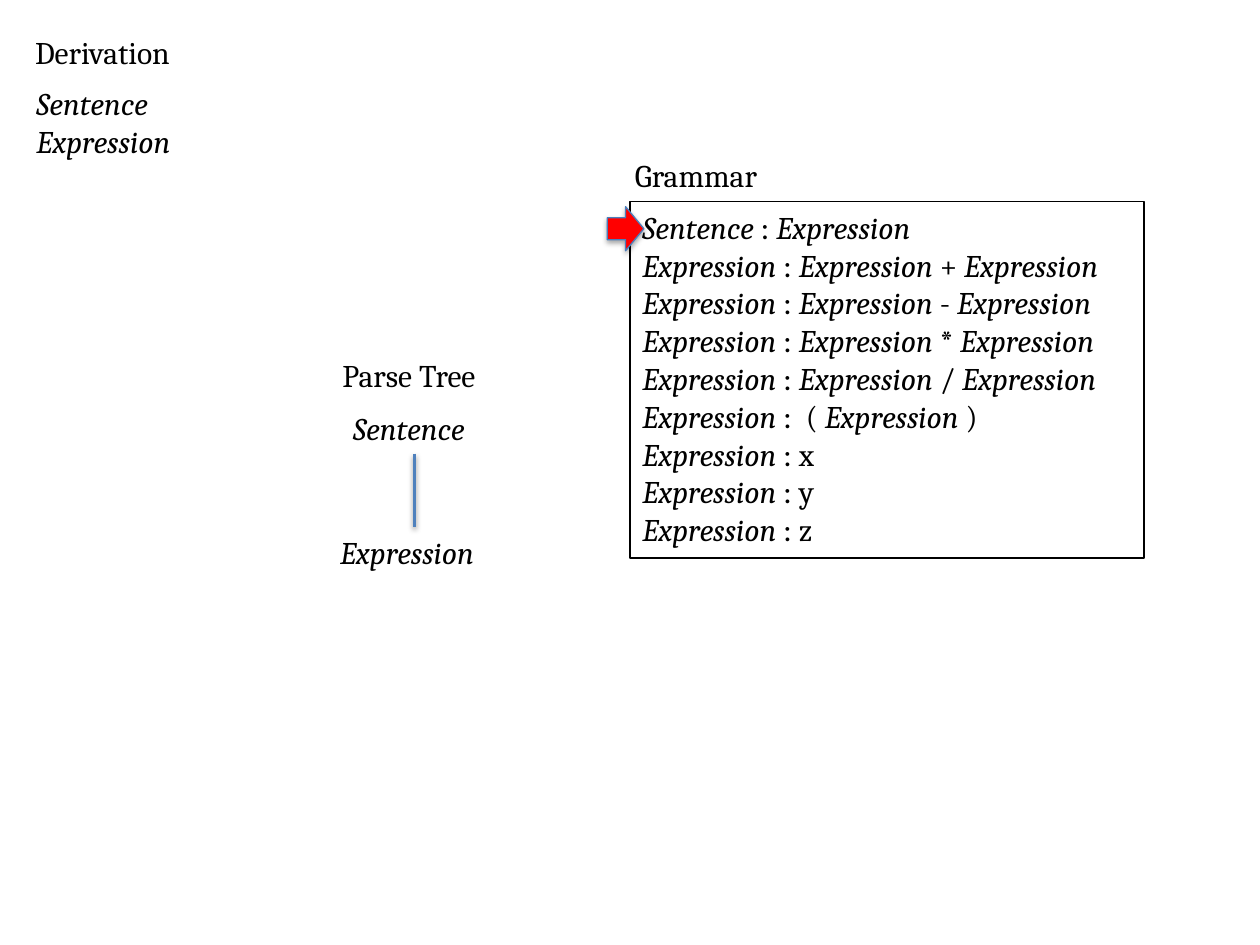
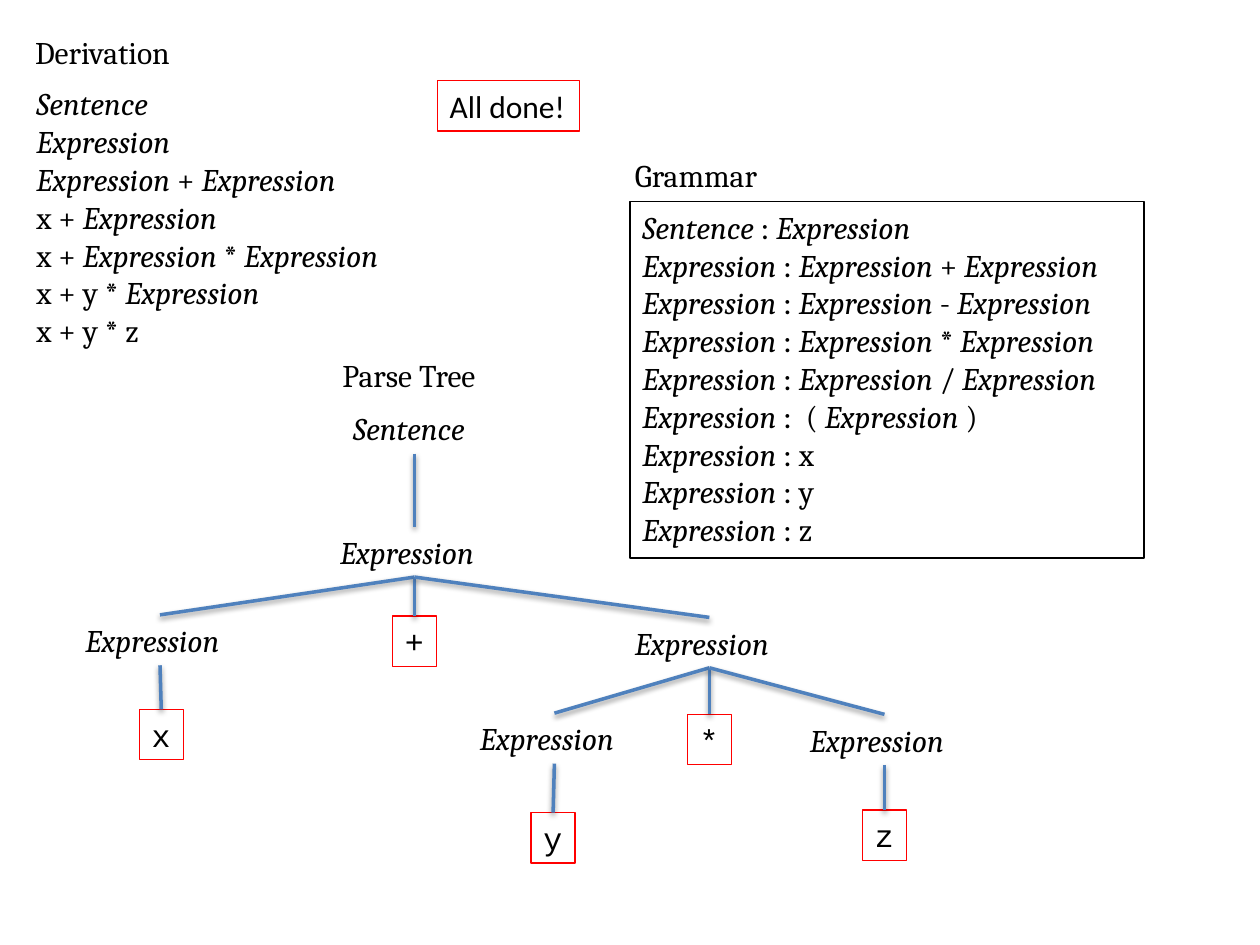
import dataclasses
import itertools

import lxml.etree
import pptx
import pptx.dml.color
import pptx.enum.shapes
import pptx.enum.text
import pptx.oxml.ns
import pptx.util

Inches = pptx.util.Inches
BLACK, RED, BRANCH, ARROW_EDGE = "000000", "FF0000", "4F81BD", "4B7EBC"
ROW_HEIGHT = 0.4
SYMBOL_WIDTHS = {"Sentence": 1.17, "Expression": 1.38}
TERMINAL_WIDTH = 0.35

GRAMMAR = [
    "Sentence : Expression",
    "Expression : Expression + Expression",
    "Expression : Expression - Expression",
    "Expression : Expression * Expression",
    "Expression : Expression / Expression",
    "Expression :  ( Expression )",
    "Expression : x",
    "Expression : y",
    "Expression : z",
]
DERIVATION = [
    "Sentence",
    "Expression",
    "Expression + Expression",
    "x + Expression",
    "x + Expression * Expression",
    "x + y * Expression",
    "x + y * z",
]


@dataclasses.dataclass
class Node:
    symbol: str
    center: float
    top: float
    children: tuple = ()


def color(hex_value):
    return pptx.dml.color.RGBColor.from_string(hex_value)


def word_style(word):
    """Nonterminals are italic and the rule's colon is in Calibri."""
    return {"name": "Calibri" if word == ":" else "Cambria",
            "italic": word in SYMBOL_WIDTHS}


class ParseSlides:
    frame_format = {"word_wrap": False,
                    "auto_size": pptx.enum.text.MSO_AUTO_SIZE.SHAPE_TO_FIT_TEXT}
    font_size = pptx.util.Pt(18)

    def __init__(self):
        self.deck = pptx.Presentation()
        self.deck.slide_width, self.deck.slide_height = Inches(10), Inches(7.5)
        self.slide = None

    def new_slide(self):
        self.slide = self.deck.slides.add_slide(self.deck.slide_layouts[6])

    def outline(self, line, hex_value, points):
        line.color.rgb = color(hex_value)
        line.width = pptx.util.Pt(points)

    def shadow(self, shape, opacity, distance):
        qn = pptx.oxml.ns.qn
        effects = lxml.etree.SubElement(shape._element.spPr, qn("a:effectLst"))
        outer = lxml.etree.SubElement(
            effects, qn("a:outerShdw"), blurRad=str(pptx.util.Pt(3.1)),
            dist=str(pptx.util.Pt(distance)), dir="5400000", rotWithShape="0")
        black = lxml.etree.SubElement(outer, qn("a:srgbClr"), val=BLACK)
        lxml.etree.SubElement(black, qn("a:alpha"), val=str(opacity * 1000))

    def run(self, paragraph, words, style):
        run = paragraph.add_run()
        run.text = words
        for name, value in {"size": self.font_size, **style}.items():
            setattr(run.font, name, value)
        run.font.color.rgb = color(BLACK)

    def text(self, lines, left, top, width, height=ROW_HEIGHT, border=None, font=None):
        box = self.slide.shapes.add_textbox(
            Inches(left), Inches(top), Inches(width), Inches(height))
        if border:
            self.outline(box.line, border, 0.75)
        frame = box.text_frame
        for name, value in self.frame_format.items():
            setattr(frame, name, value)
        for index, line in enumerate(lines):
            paragraph = frame.add_paragraph() if index else frame.paragraphs[0]
            if font:
                self.run(paragraph, line, {"name": font})
                continue
            groups = [(style, " ".join(words))
                      for style, words in itertools.groupby(line.split(" "), word_style)]
            for position, (style, words) in enumerate(groups, 1):
                self.run(paragraph, words + " " * (position < len(groups)), style)

    def branch(self, parent, child):
        line = self.slide.shapes.add_connector(
            pptx.enum.shapes.MSO_CONNECTOR.STRAIGHT,
            Inches(parent.center), Inches(parent.top + ROW_HEIGHT),
            Inches(child.center), Inches(child.top))
        self.outline(line.line, BRANCH, 2)
        self.shadow(line, 38, 1.6)

    def tree(self, node):
        width = SYMBOL_WIDTHS.get(node.symbol, TERMINAL_WIDTH)
        terminal = {} if node.symbol in SYMBOL_WIDTHS else {
            "border": RED, "font": "Courier New"}
        self.text([node.symbol], node.center - width / 2, node.top, width, **terminal)
        for child in node.children:
            self.tree(child)
            self.branch(node, child)

    def rule_arrow(self, left, top):
        arrow = self.slide.shapes.add_shape(
            pptx.enum.shapes.MSO_SHAPE.RIGHT_ARROW,
            Inches(left), Inches(top), Inches(0.29), Inches(0.35))
        arrow.fill.solid()
        arrow.fill.fore_color.rgb = color(RED)
        self.outline(arrow.line, ARROW_EDGE, 0.75)
        self.shadow(arrow, 35, 1.8)

    def parse_step(self, root, derivation, width, height):
        """Parse tree, grammar and the derivation so far."""
        self.new_slide()
        self.tree(root)
        self.text(["Grammar"], 4.94, 1.19, 1.17)
        self.text(["Derivation"], 0.18, 0.21, 1.28)
        self.text(["Parse Tree"], 2.62, 2.78, 1.26)
        self.text(GRAMMAR, 5, 1.6, 4.08, 2.83, border=BLACK)
        self.text(derivation, 0.19, 0.62, width, height)


def sentence_tree(*children):
    expression = Node("Expression", 3.29, 4.18, children)
    return Node("Sentence", 3.29, 3.2, (expression,))


def main():
    slides = ParseSlides()

    # First step: the sentence becomes an expression
    slides.parse_step(sentence_tree(), DERIVATION[:2], 1.38, 0.71)
    slides.rule_arrow(4.82, 1.64)

    # Finished parse of x + y * z
    product = Node("Expression", 5.63, 4.9, (
        Node("Expression", 4.4, 5.66, (Node("y", 4.39, 6.45),)),
        Node("*", 5.63, 5.67),
        Node("Expression", 7.02, 5.67, (Node("z", 7.02, 6.43),)),
    ))
    finished = sentence_tree(
        Node("Expression", 1.27, 4.88, (Node("x", 1.28, 5.63),)),
        Node("+", 3.29, 4.89),
        product,
    )
    slides.parse_step(finished, DERIVATION, 3.14, 2.22)
    slides.text(["All done!"], 3.47, 0.64, 1.13, border=RED, font="Calibri")

    slides.deck.save("out.pptx")


if __name__ == "__main__":
    main()
